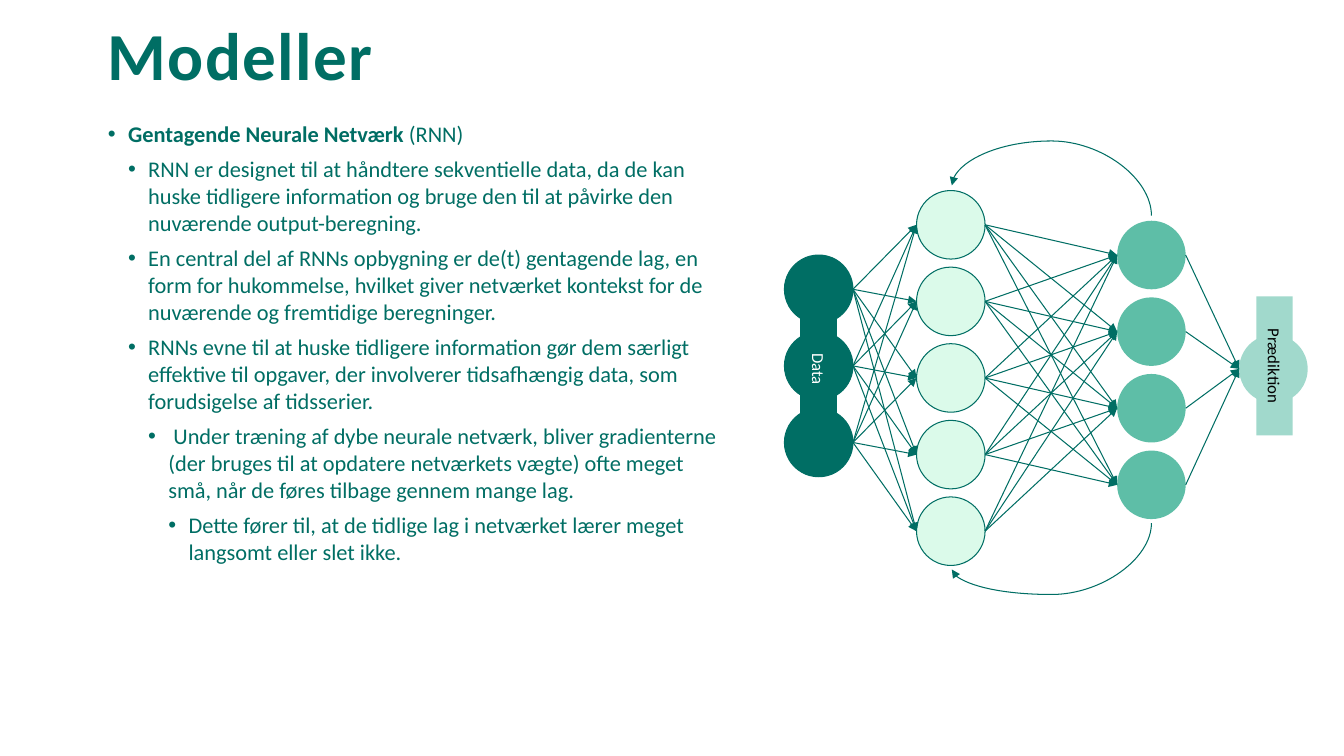
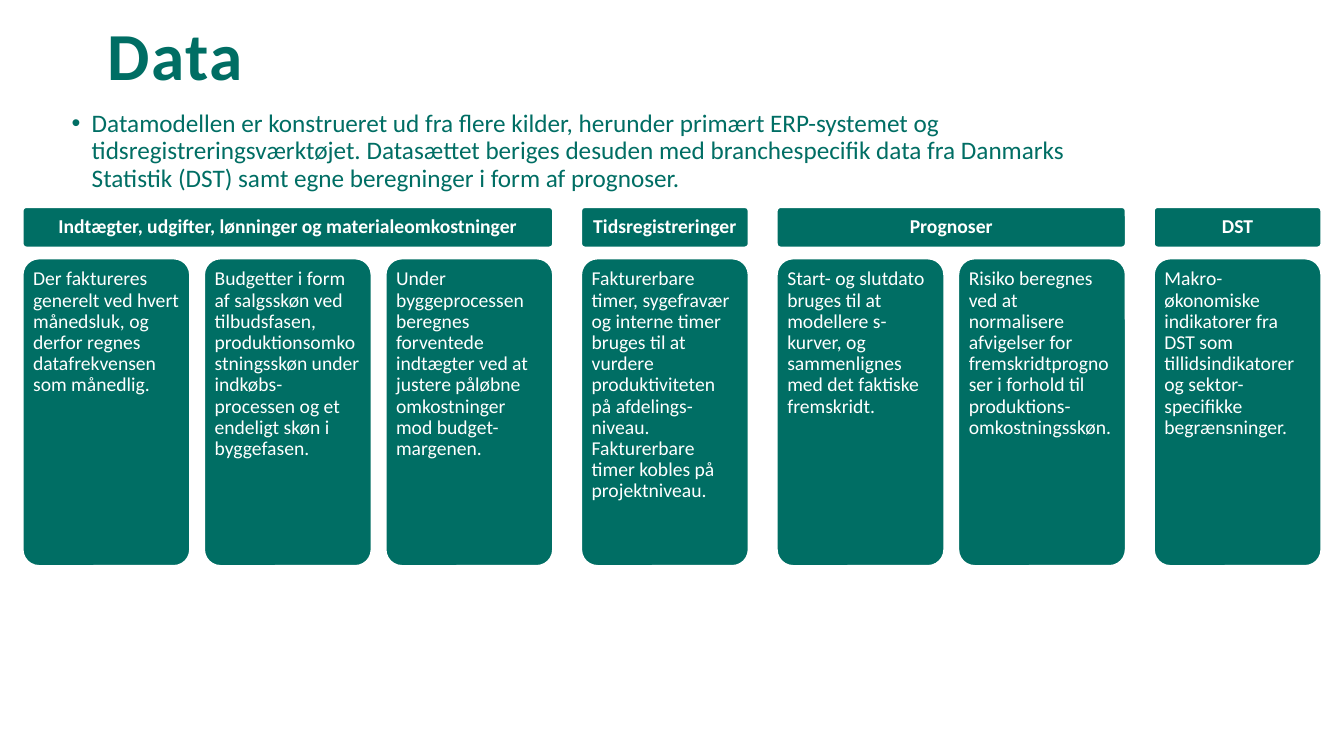
from itertools import product

from lxml import etree
from pptx import Presentation
from pptx.dml.color import RGBColor
from pptx.enum import shapes, text
from pptx.oxml.ns import qn
from pptx.util import Inches, Pt

GREEN, MINT, TEAL, PALE = "006E64", "DBFAEA", "5EBEA7", "A1D9CC"
WHITE, BLACK = "FFFFFF", "000000"
NODE, NODE_PITCH = 0.68, 0.76
CARD, CARD_GAP, GROUP_GAP = 1.67, 0.13, 0.27


def color(value):
    return RGBColor.from_string(value)


class Deck:
    font = "Calibri"

    def __init__(self):
        self.prs = Presentation()
        self.prs.slide_width, self.prs.slide_height = Inches(13.33), Inches(7.5)
        self.slide = None

    def style(self, run, size, ink, bold=False):
        run.font.name, run.font.size, run.font.bold = self.font, Pt(size), bold
        run.font.color.rgb = color(ink)

    def frame(self, shape, inset, anchor):
        frame = shape.text_frame
        frame.word_wrap = True
        frame.auto_size = text.MSO_AUTO_SIZE.NONE
        frame.vertical_anchor = anchor
        frame.margin_left = frame.margin_right = Inches(inset)
        frame.margin_top = frame.margin_bottom = Inches(inset)
        return frame

    def place(self, shape, left, top, width, height):
        shape.left, shape.top = Inches(left), Inches(top)
        shape.width, shape.height = Inches(width), Inches(height)
        return self.frame(shape, 0, text.MSO_ANCHOR.TOP)

    def new_slide(self, heading):
        self.slide = self.prs.slides.add_slide(self.prs.slide_layouts[1])
        frame = self.place(self.slide.shapes.title, 1.07, 0.25, 11.89, 0.69)
        frame.text = heading
        line = frame.paragraphs[0]
        line.alignment = text.PP_ALIGN.LEFT
        line.line_spacing = 0.85
        self.style(line.runs[0], 48, GREEN, True)
        line.runs[0].font._element.set("spc", "100")

    def bullets(self, box, items, size, spacing=1.0):
        frame = self.place(self.slide.placeholders[1], *box)
        for number, (level, strong, plain) in enumerate(items):
            line = frame.add_paragraph() if number else frame.paragraphs[0]
            line.level = level
            properties = line._p.get_or_add_pPr()
            properties.set("marL", str(Inches(0.2 * (level + 1))))
            properties.set("indent", str(Inches(-0.2)))
            etree.SubElement(properties, qn("a:buFont")).set("typeface", "Arial")
            etree.SubElement(properties, qn("a:buChar")).set("char", "•")
            line.alignment = text.PP_ALIGN.LEFT
            line.line_spacing = spacing
            line.space_before = Pt(6 if number else 0)
            for words, bold in ((strong, True), (plain, False)):
                if words:
                    run = line.add_run()
                    run.text = words
                    self.style(run, size, GREEN, bold)

    def shape(self, preset, box, fill, outline=None, weight=0.75):
        shape = self.slide.shapes.add_shape(preset, *map(Inches, box))
        shape.shadow.inherit = False
        shape.fill.solid()
        shape.fill.fore_color.rgb = color(fill)
        if outline:
            shape.line.color.rgb = color(outline)
            shape.line.width = Pt(weight)
        else:
            shape.line.fill.background()
        return shape

    def caption(self, shape, words, size, ink, inset, bold=False, centred=True, spacing=1.0):
        anchor = text.MSO_ANCHOR.MIDDLE if centred else text.MSO_ANCHOR.TOP
        frame = self.frame(shape, inset, anchor)
        frame.text = words
        line = frame.paragraphs[0]
        line.alignment = text.PP_ALIGN.CENTER if centred else text.PP_ALIGN.LEFT
        line.line_spacing = spacing
        self.style(line.runs[0], size, ink, bold)

    def layer(self, left, top, count, fill, outline=None):
        return [self.shape(shapes.MSO_SHAPE.FLOWCHART_CONNECTOR,
                           (left, top + row * NODE_PITCH, NODE, NODE), fill, outline)
                for row in range(count)]

    def arrow(self, kind, *ends):
        arrow = self.slide.shapes.add_connector(kind, *ends)
        arrow.line.color.rgb = color(GREEN)
        arrow.line.width = Pt(0.75)
        etree.SubElement(arrow.line._get_or_add_ln(), qn("a:tailEnd")).set("type", "triangle")
        etree.SubElement(arrow._element.spPr, qn("a:effectLst"))
        return arrow

    def wire(self, source, target):
        arrow = self.arrow(shapes.MSO_CONNECTOR.STRAIGHT,
                           source.left + source.width, source.top + source.height // 2,
                           target.left, target.top + target.height // 2)
        arrow._connect_begin_to(source, 6)
        arrow._connect_end_to(target, 2)

    def loop(self, ends, turn, bend):
        arrow = self.arrow(shapes.MSO_CONNECTOR.CURVE, *map(Inches, ends))
        properties = arrow._element.spPr
        properties.find(qn("a:xfrm")).set("rot", str(turn * 60000))
        adjustments = properties.find(qn("a:prstGeom")).get_or_add_avLst()
        guide = etree.SubElement(adjustments, qn("a:gd"))
        guide.set("name", "adj1")
        guide.set("fmla", f"val {round(bend * 100000)}")

    def label(self, words, box, fill, ink, outline=None):
        label = self.shape(shapes.MSO_SHAPE.ROUNDED_RECTANGLE, box, fill, outline)
        label.adjustments[0] = 0
        label.rotation = 90
        self.caption(label, words, 12, ink, 0.08)

    def card(self, words, box, heading=False):
        card = self.shape(shapes.MSO_SHAPE.ROUNDED_RECTANGLE, box, GREEN, WHITE, 2)
        card.adjustments[0] = 0.1
        self.caption(card, words, 14, WHITE, 0.06, heading, heading, 0.9)


def models(deck):
    deck.new_slide("Modeller")
    deck.bullets((1.07, 1.19, 6.05, 5.55), [
        (0, "Gentagende Neurale Netværk ", "(RNN)"),
        (1, "", "RNN er designet til at håndtere sekventielle data, da de kan huske tidligere "
                "information og bruge den til at påvirke den nuværende output-beregning."),
        (1, "", "En central del af RNNs opbygning er de(t) gentagende lag, en form for hukommelse, "
                "hvilket giver netværket kontekst for de nuværende og fremtidige beregninger."),
        (1, "", "RNNs evne til at huske tidligere information gør dem særligt effektive til "
                "opgaver, der involverer tidsafhængig data, som forudsigelse af tidsserier."),
        (2, "", " Under træning af dybe neurale netværk, bliver gradienterne (der bruges til at "
                "opdatere netværkets vægte) ofte meget små, når de føres tilbage gennem mange lag."),
        (3, "", "Dette fører til, at de tidlige lag i netværket lærer meget langsomt "
                "eller slet ikke."),
    ], 16)

    inputs = deck.layer(7.78, 2.53, 3, GREEN, GREEN)
    first_hidden = deck.layer(9.09, 1.89, 5, MINT, GREEN)
    second_hidden = deck.layer(11.08, 2.19, 4, TEAL)
    prediction = deck.layer(12.29, 3.32, 1, PALE)

    deck.loop((10.28, 2.98, 10.58, 1), 270, 2.47)
    deck.loop((10.2, 4.43, 10.66, 6.41), 90, 1.54)
    hidden_pairs = list(product(first_hidden, second_hidden))[:-1]
    for source, target in [*product(inputs, first_hidden), *hidden_pairs,
                           *product(second_hidden, prediction)]:
        deck.wire(source, target)

    deck.label("Prædiktion", (11.95, 3.45, 1.38, 0.36), PALE, BLACK)
    deck.label("Data", (7.58, 3.48, 1.08, 0.36), GREEN, WHITE, GREEN)


def data(deck):
    deck.new_slide("Data")
    deck.bullets((0.71, 1.1, 10.52, 0.9), [
        (0, "", "Datamodellen er konstrueret ud fra flere kilder, herunder primært ERP-systemet og "
                "tidsregistreringsværktøjet. Datasættet beriges desuden med branchespecifik data "
                "fra Danmarks Statistik (DST) samt egne beregninger i form af prognoser."),
    ], 18, 0.9)

    sources = [
        ("Indtægter, udgifter, lønninger og materialeomkostninger", [
            "Der faktureres generelt ved hvert månedsluk, og derfor regnes datafrekvensen "
            "som månedlig.",
            "Budgetter i form af salgsskøn ved tilbudsfasen, produktionsomkostningsskøn under "
            "indkøbs-processen og et endeligt skøn i byggefasen.",
            "Under byggeprocessen beregnes forventede indtægter ved at justere påløbne "
            "omkostninger mod budget-margenen."]),
        ("Tidsregistreringer", [
            "Fakturerbare timer, sygefravær og interne timer bruges til at vurdere "
            "produktiviteten på afdelings-niveau. Fakturerbare timer kobles på projektniveau."]),
        ("Prognoser", [
            "Start- og slutdato bruges til at modellere s-kurver, og sammenlignes med det "
            "faktiske fremskridt.",
            "Risiko beregnes ved at normalisere afvigelser for fremskridtprognoser i forhold "
            "til produktions-omkostningsskøn."]),
        ("DST", [
            "Makro-økonomiske indikatorer fra DST som tillidsindikatorer og "
            "sektor-specifikke begrænsninger."]),
    ]
    left = 0.22
    for heading, details in sources:
        width = len(details) * (CARD + CARD_GAP) - CARD_GAP
        deck.card(heading, (left, 2.05, width, 0.41), True)
        for column, detail in enumerate(details):
            deck.card(detail, (left + column * (CARD + CARD_GAP), 2.56, CARD, 3.06))
        left += width + GROUP_GAP


def main():
    deck = Deck()
    models(deck)
    data(deck)
    deck.prs.save("out.pptx")


if __name__ == "__main__":
    main()
